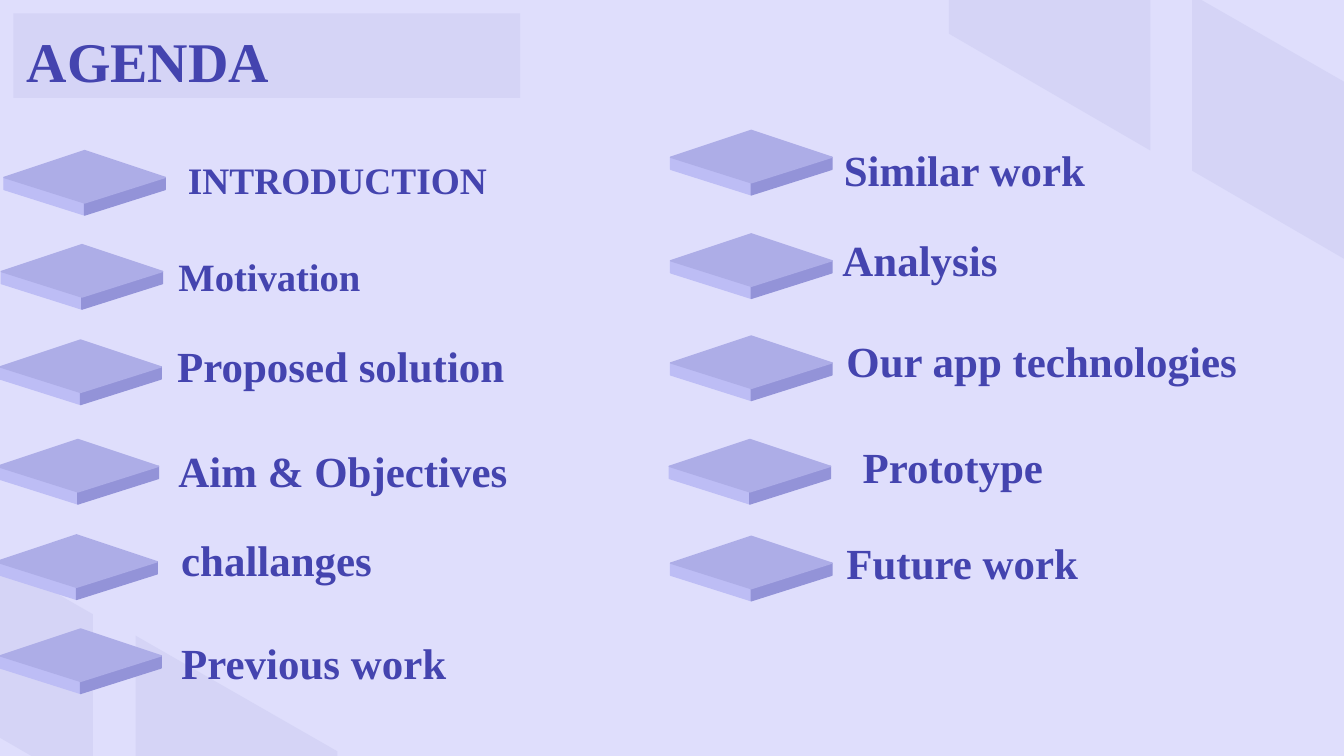
from pptx import Presentation
from pptx.dml.color import RGBColor
from pptx.enum.shapes import MSO_SHAPE
from pptx.enum.text import MSO_ANCHOR, PP_ALIGN
from pptx.oxml.ns import qn
from pptx.util import Inches, Pt
from lxml import etree

FONT = "Times New Roman"
INK = "4444AF"
PANEL = "C6C6EE"

PANEL_POINTS = [(0, 0), (1.5, 0.86), (1.5, 2.18), (0, 1.31)]
PANEL_CORNERS = [(7.06, -1.06), (8.87, -0.04), (-0.81, 3.71), (1.01, 4.73)]

TILE_FACES = [
    ("BDBDF5", [(0, 0.2), (0, 0.29), (0.6, 0.48), (0.6, 0.39)]),
    ("9393D8", [(1.2, 0.2), (0.6, 0.39), (0.6, 0.48), (1.2, 0.29)]),
    ("ADADE7", [(0.6, 0), (0, 0.2), (0.6, 0.39), (1.2, 0.2)]),
]

AGENDA = [
    ("INTRODUCTION", 20, (0.03, 1.12), (1.3, 1.07, 2.57, 0.58)),
    ("Motivation", 20.7, (0.01, 1.82), (1.23, 1.78, 2.64, 0.58)),
    ("Proposed solution", 23, (0, 2.53), (1.22, 2.43, 2.94, 0.58)),
    ("Aim & Objectives", 23, (-0.02, 3.27), (1.23, 3.21, 2.94, 0.49)),
    ("challanges", 23, (-0.03, 3.98), (1.25, 3.87, 2.57, 0.58)),
    ("Previous work", 23, (0, 4.68), (1.25, 4.64, 2.57, 0.58)),
    ("Similar work", 23, (4.99, 0.97), (6.18, 0.97, 2.57, 0.38)),
    ("Analysis", 23, (4.99, 1.74), (6.17, 1.64, 2.57, 0.58)),
    ("Our app technologies", 23, (4.99, 2.5), (6.2, 2.39, 3.27, 0.89)),
    ("Prototype", 23, (4.98, 3.27), (6.32, 3.18, 2.57, 0.58)),
    ("Future work", 23, (4.99, 3.99), (6.2, 3.89, 2.57, 0.58)),
]


def rgb(color):
    return RGBColor.from_string(color)


def paint(sp, color, alpha=None):
    sp.shadow.inherit = False
    sp.fill.solid()
    sp.fill.fore_color.rgb = rgb(color)
    if alpha is None:
        sp.line.color.rgb = rgb(color)
        sp.line.width = Pt(0.75)
    else:
        sp.line.fill.background()
        clr = sp._element.spPr.find(qn("a:solidFill"))[0]
        etree.SubElement(clr, qn("a:alpha"), val=str(alpha * 1000))


def add_polygon(shapes, corner, points, color, alpha=None):
    left, top = corner
    xy = [(Inches(left + x), Inches(top + y)) for x, y in points]
    builder = shapes.build_freeform(*xy[0])
    builder.add_line_segments(xy[1:], close=True)
    paint(builder.convert_to_shape(), color, alpha)


def add_tile(s, corner):
    group = s.shapes.add_group_shape()
    for color, points in TILE_FACES:
        add_polygon(group.shapes, corner, points, color)


def write(sp, text, size=23, color=INK, bold=True):
    tf = sp.text_frame
    tf.word_wrap = True
    tf.vertical_anchor = MSO_ANCHOR.TOP
    tf.margin_left = tf.margin_right = Inches(0.1)
    tf.margin_top = tf.margin_bottom = Inches(0.1)
    p = tf.paragraphs[0]
    p.alignment = PP_ALIGN.LEFT
    r = p.add_run()
    r.text = text
    r.font.name = FONT
    r.font.size = Pt(size)
    r.font.bold = bold
    r.font.color.rgb = rgb(color)


def add_heading(s, text, box):
    sp = s.shapes.add_shape(MSO_SHAPE.RECTANGLE, *map(Inches, box))
    paint(sp, PANEL, alpha=40)
    write(sp, text, size=30)


def add_label(s, text, size, box):
    write(s.shapes.add_textbox(*map(Inches, box)), text, size=size)


def main():
    prs = Presentation()
    prs.slide_width = Inches(10)
    prs.slide_height = prs.slide_width * 9 // 16
    s = prs.slides.add_slide(prs.slide_layouts[6])
    s.background.fill.solid()
    s.background.fill.fore_color.rgb = rgb("DFDEFC")
    for corner in PANEL_CORNERS:
        add_polygon(s.shapes, corner, PANEL_POINTS, PANEL, alpha=40)
    add_heading(s, "AGENDA", (0.1, 0.1, 3.77, 0.63))
    for text, size, corner, box in AGENDA:
        add_tile(s, corner)
        add_label(s, text, size, box)
    prs.save("out.pptx")


if __name__ == "__main__":
    main()
